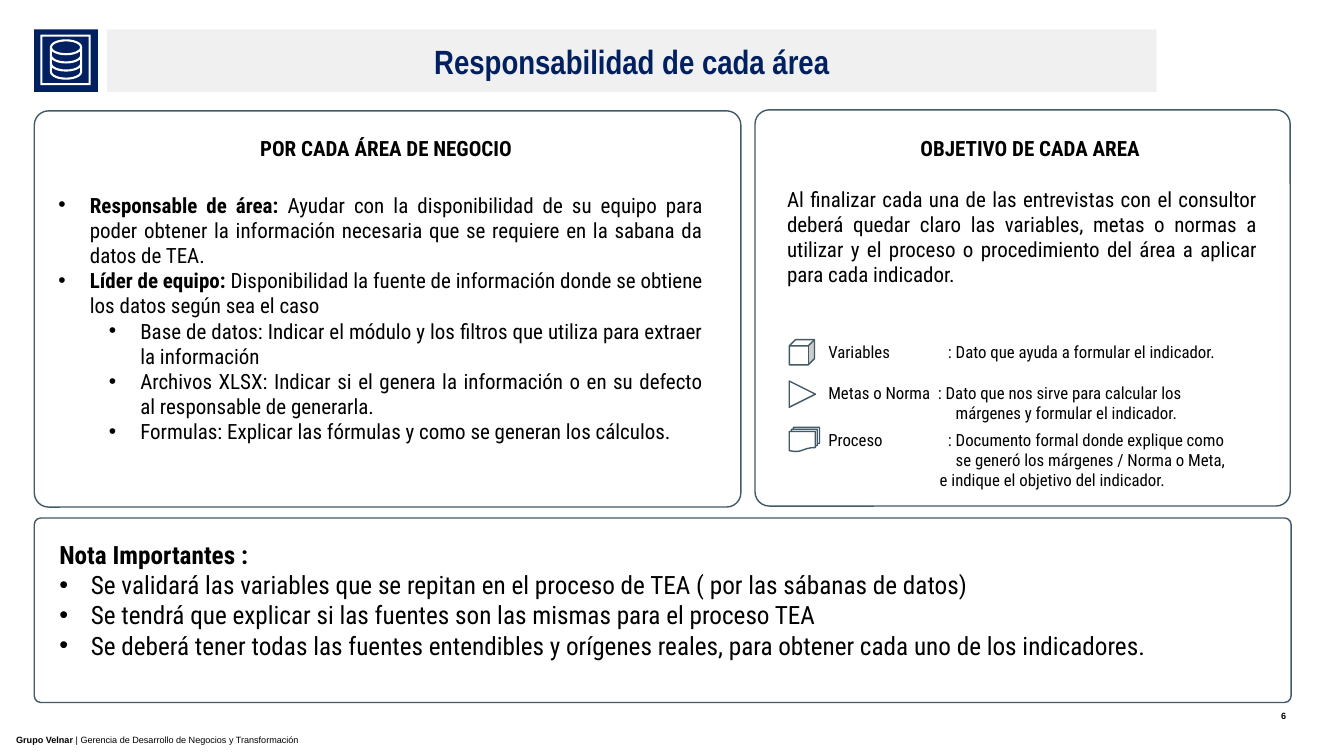
from lxml import etree
from pptx import Presentation
from pptx import util as u
from pptx.dml.color import RGBColor
from pptx.enum import shapes, text
from pptx.oxml.ns import qn

Pt = u.Pt
KIND = shapes.MSO_SHAPE
ALIGN = text.PP_ALIGN
COLORS = {"navy": "002060", "slate": "425A66", "band": "F0F0F0",
          "white": "FFFFFF", "black": "000000"}
BODY = "Roboto Condensed"


def add_figure(kind, bounds, fill=None, line=None, weight=1):
    figure = slide.shapes.add_shape(kind, *map(Pt, bounds))
    figure.shadow.inherit = False
    if fill:
        figure.fill.solid()
        figure.fill.fore_color.rgb = RGBColor.from_string(COLORS[fill])
    else:
        figure.fill.background()
    if line:
        figure.line.color.rgb = RGBColor.from_string(COLORS[line])
        figure.line.width = Pt(weight)
    else:
        figure.line.fill.background()
    return figure


def add_text(bounds, lines, size, align=ALIGN.LEFT, font=BODY):
    """Each line is a pair: bold lead, then regular text."""
    frame = slide.shapes.add_textbox(*map(Pt, bounds)).text_frame
    frame.word_wrap = True
    for i, (lead, rest) in enumerate(lines):
        paragraph = frame.paragraphs[0] if i == 0 else frame.add_paragraph()
        paragraph.alignment = align
        for part, bold in ((lead, True), (rest, False)):
            if part:
                run = paragraph.add_run()
                run.text = part
                run.font.bold = bold
                run.font.size = Pt(size)
                run.font.name = font
                run.font.color.rgb = RGBColor.from_string(COLORS["black"])
    return frame


deck = Presentation()
deck.slide_width, deck.slide_height = Pt(960), Pt(540)
slide = deck.slides.add_slide(deck.slide_layouts[5])

# Title band
title = slide.shapes.title
title.left, title.top, title.width, title.height = map(Pt, (76.5, 21, 749.5, 44.6))
title.fill.solid()
title.fill.fore_color.rgb = RGBColor.from_string(COLORS["band"])
heading = title.text_frame
heading.text = "Responsabilidad de cada área"
heading.auto_size = text.MSO_AUTO_SIZE.NONE
heading.vertical_anchor = text.MSO_ANCHOR.MIDDLE
heading.margin_left = heading.margin_right = Pt(20)
heading.paragraphs[0].alignment = ALIGN.CENTER
heading_font = heading.paragraphs[0].runs[0].font
heading_font.name, heading_font.size, heading_font.bold = "Arial Narrow", Pt(24), True
heading_font.color.rgb = RGBColor.from_string(COLORS["navy"])

# Database icon
add_figure(KIND.RECTANGLE, (24.5, 21, 45.4, 44.6), "navy")
add_figure(KIND.FRAME, (28.8, 24.8, 36, 36), "white").adjustments[0] = 0.04
cylinder = add_figure(KIND.CAN, (36.4, 28.8, 21.6, 27.4), None, "white", 1.5)
cylinder.adjustments[0] = 0.46
for ring in (1, 2):
    band = add_figure(KIND.ARC, (36.4, 28.8 + ring * 5.8, 21.6, 10), None, "white", 1.5)
    band.adjustments[0], band.adjustments[1] = 0, 108

# Panels
for bounds in ((24.5, 79.2, 504.7, 283), (539.3, 78.5, 382.3, 283),
               (24.5, 370, 897.8, 131.8)):
    add_figure(KIND.ROUNDED_RECTANGLE, bounds, "white", "slate").adjustments[0] = 0.036

# Business area panel
add_text((34.6, 93.6, 482.4, 25.2), [("POR CADA ÁREA DE NEGOCIO", "")], 15, ALIGN.CENTER)
duties = add_text((34.6, 125.3, 474.5, 234), [
    ("Responsable de área: ", "Ayudar con la disponibilidad de su equipo para poder obtener "
     "la información necesaria que se requiere en la sabana da datos de TEA."),
    ("Líder de equipo: ", "Disponibilidad la fuente de información donde se obtiene "
     "los datos según sea el caso"),
    ("", "Base de datos: Indicar el módulo y los filtros que utiliza para extraer "
     "la información"),
    ("", "Archivos XLSX: Indicar si el genera la información o en su defecto "
     "al responsable de generarla."),
    ("", "Formulas: Explicar las fórmulas y como se generan los cálculos."),
], 15, ALIGN.JUSTIFY)
duties.margin_top = Pt(12)
for source in duties.paragraphs[2:]:
    source.level = 1

# Objective panel
add_text((576, 93.6, 319.7, 25.2), [("OBJETIVO DE CADA AREA", "")], 15, ALIGN.CENTER)
add_text((555.1, 129.6, 349.9, 97.9), [
    ("", "Al finalizar cada una de las entrevistas con el consultor deberá quedar claro "
     "las variables, metas o normas a utilizar y el proceso o procedimiento del área "
     "a aplicar para cada indicador.")], 15, ALIGN.JUSTIFY)

# Legend: icon, its bounds and rotation, text top, lines with their tab stop
legend = [
    (KIND.CUBE, (563.8, 242.6, 18, 18), 0, 240.5,
     [("Variables\t: Dato que ayuda a formular el indicador.", 85.5)]),
    (KIND.FLOWCHART_EXTRACT, (563.8, 272.2, 18.7, 18.7), 90, 270,
     [("Metas o Norma\t: Dato que nos sirve para calcular los", 78.3),
      ("\tmárgenes y formular el indicador.", 91)]),
    (KIND.FLOWCHART_MULTIDOCUMENT, (563.8, 305.3, 21.6, 17.3), 0, 303.1,
     [("Proceso\t: Documento formal donde explique como", 85.5),
      ("\tse generó los márgenes / Norma o Meta,", 91),
      ("\te indique el objetivo del indicador.", 79.6)]),
]
for kind, bounds, turn, top, lines in legend:
    add_figure(kind, bounds, "white", "slate").rotation = turn
    entry = add_text((584.6, top, 319, 7.2 + 14.4 * len(lines)),
                     [("", line) for line, stop in lines], 12)
    for paragraph, (line, stop) in zip(entry.paragraphs, lines):
        tabs = etree.SubElement(paragraph._p.get_or_add_pPr(), qn("a:tabLst"))
        etree.SubElement(tabs, qn("a:tab"), pos=str(Pt(stop)), algn="l")

# Notes panel
notes = add_text((35.3, 381.6, 846.7, 94.3), [
    ("Nota Importantes :", ""),
    ("", "Se validará las variables que se repitan en el proceso de TEA "
     "( por las sábanas de datos)"),
    ("", "Se tendrá que explicar si las fuentes son las mismas para el proceso TEA"),
    ("", "Se deberá tener todas las fuentes entendibles y orígenes reales, "
     "para obtener cada uno de los indicadores."),
], 18)

# Bullets
for paragraph in duties.paragraphs + notes.paragraphs[1:]:
    props = paragraph._p.get_or_add_pPr()
    props.set("marL", str(Pt(22.5 + 36 * paragraph.level)))
    props.set("indent", str(Pt(-22.5)))
    etree.SubElement(props, qn("a:buFont"), typeface="Arial")
    etree.SubElement(props, qn("a:buChar"), char="•")

# Footer and page number
footer = add_text((8.6, 524.9, 377.3, 8), [
    ("Grupo Velnar ", "| Gerencia de Desarrollo de Negocios y Transformación")], 6.5, font="Arial")
footer.margin_left = footer.margin_right = footer.margin_top = footer.margin_bottom = 0
page = add_text((905, 504, 35.3, 14.4), [("6", "")], 6.5, font="Arial")
for frame in (footer, page):
    paragraph = frame.paragraphs[0]
    paragraph.space_before = Pt(1)
    paragraph._p.get_or_add_pPr().set("marL", str(Pt(3)))

deck.save("out.pptx")
